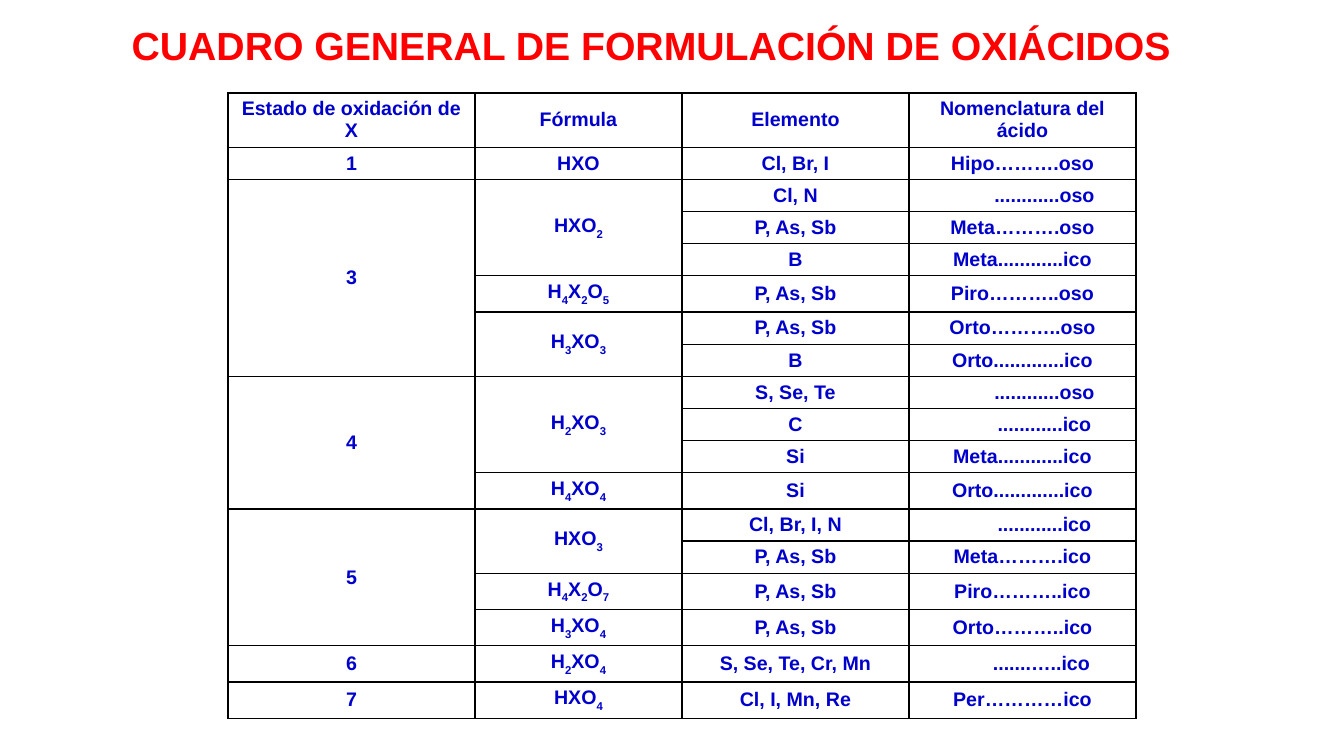
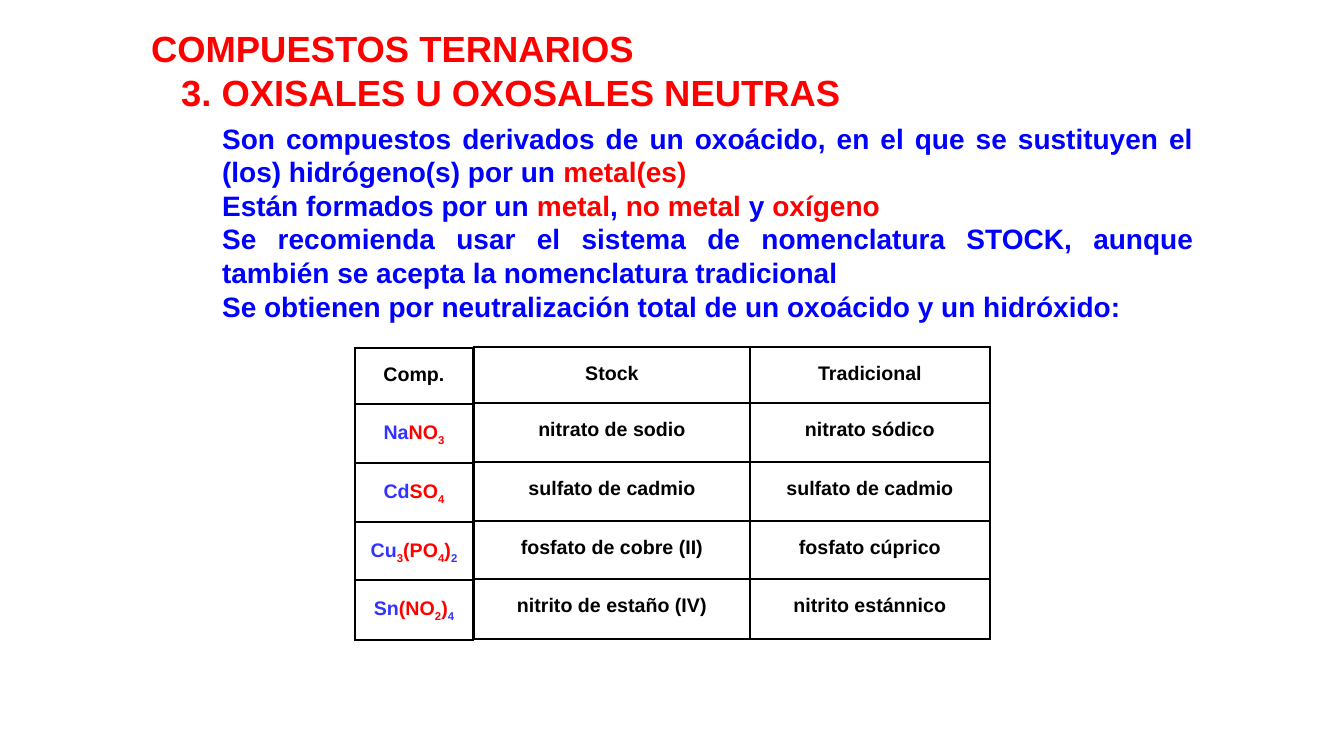
from dataclasses import dataclass
from itertools import groupby
from typing import Optional

from lxml.etree import SubElement
from pptx import Presentation
from pptx.dml.color import RGBColor
from pptx.enum.text import MSO_ANCHOR, MSO_AUTO_SIZE, PP_ALIGN
from pptx.oxml.ns import qn
from pptx.util import Emu, Pt

FONT = "Arial"
RED = RGBColor(0xFF, 0x00, 0x00)
BLUE = RGBColor(0x00, 0x00, 0xFF)
DARK_BLUE = RGBColor(0x00, 0x00, 0xCC)
METAL_BLUE = RGBColor(0x33, 0x33, 0xFF)
BLACK = RGBColor(0x00, 0x00, 0x00)
WHITE = RGBColor(0xFF, 0xFF, 0xFF)

THIN, THICK = 1, 2.25
CELL_SIZE = 14


@dataclass(frozen=True)
class Span:
    """A stretch of text in one colour; baseline is a percentage."""
    text: str
    color: RGBColor
    baseline: int = 0


@dataclass(frozen=True)
class Box:
    left: int
    top: int
    width: int
    height: int


@dataclass(frozen=True)
class Acid:
    """One table row; an empty state or formula continues the cell above."""
    state: str
    formula: str
    element: str
    name: str
    indent: int = 0


@dataclass(frozen=True)
class Salt:
    formula: list[Span]
    stock: str
    traditional: str


def px(pixels: int) -> Emu:
    return Emu(round(pixels * 914400 / 100.8))


def formula_spans(formula: str, color: RGBColor, drop: int) -> list[Span]:
    """Split a formula so that its digits become subscripts."""
    return [Span("".join(group), color, -drop if is_digit else 0)
            for is_digit, group in groupby(formula, str.isdigit)]


def write_spans(paragraph, spans: list[Span], size: int, alignment: PP_ALIGN,
                line_spacing: Optional[float] = None, indent: int = 0) -> None:
    paragraph.alignment = alignment
    paragraph.space_before = Pt(0)
    if line_spacing:
        paragraph.line_spacing = line_spacing
    properties = paragraph._p.get_or_add_pPr()
    properties.set("marL", str(px(indent)))
    properties.set("indent", "0")
    SubElement(properties, qn("a:buNone"))
    for span in spans:
        run = paragraph.add_run()
        run.text = span.text
        run.font.name = FONT
        run.font.size = Pt(size)
        run.font.bold = True
        run.font.color.rgb = span.color
        if span.baseline:
            run._r.get_or_add_rPr().set("baseline", str(span.baseline * 1000))


def place_text(shape, box: Box, anchor: MSO_ANCHOR, lines: list[list[Span]], size: int,
               alignment: PP_ALIGN, indents: tuple[int, ...] = ()) -> None:
    """Move a placeholder and write one paragraph per line."""
    shape.left, shape.top = px(box.left), px(box.top)
    shape.width, shape.height = px(box.width), px(box.height)
    frame = shape.text_frame
    frame.word_wrap = True
    frame.auto_size = MSO_AUTO_SIZE.NONE
    frame.vertical_anchor = anchor
    for index, spans in enumerate(lines):
        paragraph = frame.add_paragraph() if index else frame.paragraphs[0]
        write_spans(paragraph, spans, size, alignment,
                    indent=indents[index] if indents else 0)


def set_borders(cell, **widths: float) -> None:
    """Draw the four black borders, thin unless a side is given a width."""
    properties = cell._tc.get_or_add_tcPr()
    for side in "LRTB":
        line = SubElement(properties, qn(f"a:ln{side}"),
                          w=str(Pt(widths.get(side, THIN))))
        fill = SubElement(line, qn("a:solidFill"))
        SubElement(fill, qn("a:srgbClr"), val=str(BLACK))


def add_plain_table(slide, left: int, top: int, columns: list[int], rows: list[int]):
    table = slide.shapes.add_table(len(rows), len(columns), px(left), px(top),
                                   px(sum(columns)), px(sum(rows))).table
    table.first_row = table.horz_banding = False
    for column, width in zip(table.columns, columns):
        column.width = px(width)
    for row, height in zip(table.rows, rows):
        row.height = px(height)
    return table


def fill_white(cell) -> None:
    cell.fill.solid()
    cell.fill.fore_color.rgb = WHITE


def merge_down(table, column: int, texts: list[str]) -> None:
    """Join each filled cell with the empty ones under it."""
    starts = [row for row, text in enumerate(texts) if text] + [len(texts)]
    for first, following in zip(starts, starts[1:]):
        if following - first > 1:
            table.cell(first, column).merge(table.cell(following - 1, column))


# Content of the oxyacid table
ACID_HEADER = Acid("Estado de oxidación de X", "Fórmula", "Elemento",
                   "Nomenclatura del ácido")
ACIDS = [
    Acid("1", "HXO", "Cl, Br, I", "Hipo……….oso"),
    Acid("3", "HXO2", "Cl, N", "............oso", 44),
    Acid("", "", "P, As, Sb", "Meta……….oso"),
    Acid("", "", "B", "Meta............ico"),
    Acid("", "H4X2O5", "P, As, Sb", "Piro………..oso"),
    Acid("", "H3XO3", "P, As, Sb", "Orto………..oso"),
    Acid("", "", "B", "Orto.............ico"),
    Acid("4", "H2XO3", "S, Se, Te", "............oso", 44),
    Acid("", "", "C", "............ico", 44),
    Acid("", "", "Si", "Meta............ico"),
    Acid("", "H4XO4", "Si", "Orto.............ico"),
    Acid("5", "HXO3", "Cl, Br, I, N", "............ico", 44),
    Acid("", "", "P, As, Sb", "Meta……….ico"),
    Acid("", "H4X2O7", "P, As, Sb", "Piro………..ico"),
    Acid("", "H3XO4", "P, As, Sb", "Orto………..ico"),
    Acid("6", "H2XO4", "S, Se, Te, Cr, Mn", ".......…..ico", 38),
    Acid("7", "HXO4", "Cl, I, Mn, Re", "Per…………ico"),
]


def salt_formula(metal: str, rest: str, count: str = "") -> list[Span]:
    return [span for part, color in ((metal, METAL_BLUE), (rest, RED), (count, METAL_BLUE))
            for span in formula_spans(part, color, 25)]


# Content of the oxysalt slide
SALTS = [
    Salt([Span("Comp.", BLACK)], "Stock", "Tradicional"),
    Salt(salt_formula("Na", "NO3"), "nitrato de sodio", "nitrato sódico"),
    Salt(salt_formula("Cd", "SO4"), "sulfato de cadmio", "sulfato de cadmio"),
    Salt(salt_formula("Cu", "3(PO4)", "2"), "fosfato de cobre (II)", "fosfato cúprico"),
    Salt(salt_formula("Sn", "(NO2)", "4"), "nitrito de estaño (IV)", "nitrito estánnico"),
]
SALT_ROWS = [56, 59, 59, 58, 60]
SALT_NOTES = [
    [Span("Son compuestos derivados de un oxoácido, en el que se sustituyen el "
          "(los) hidrógeno(s) por un ", BLUE), Span("metal(es)", RED)],
    [Span("Están formados por un ", BLUE), Span("metal", RED), Span(", ", BLUE),
     Span("no metal ", RED), Span("y ", BLUE), Span("oxígeno ", RED)],
    [Span("Se recomienda usar el sistema de nomenclatura STOCK, aunque también "
          "se acepta la nomenclatura tradicional", BLUE)],
    [Span("Se obtienen por neutralización total de un oxoácido y un hidróxido:", BLUE)],
]


def build_acid_slide(presentation) -> None:
    slide = presentation.slides.add_slide(presentation.slide_layouts[5])
    place_text(slide.shapes.title, Box(85, 21, 1143, 47), MSO_ANCHOR.MIDDLE,
               [[Span("CUADRO GENERAL DE FORMULACIÓN DE OXIÁCIDOS ", RED)]],
               28, PP_ALIGN.CENTER)

    # Rows whose own formula has a subscript are taller
    records = [ACID_HEADER, *ACIDS]
    heights = [54]
    for acid, following in zip(ACIDS, [*ACIDS[1:], ACID_HEADER]):
        subscripted = any(map(str.isdigit, acid.formula))
        heights.append(36 if subscripted and following.formula else 32)
    table = add_plain_table(slide, 228, 93, [247, 207, 227, 227], heights)
    merge_down(table, 0, [record.state for record in records])
    merge_down(table, 1, [record.formula for record in records])

    for row, record in enumerate(records):
        cells = [[Span(record.state, DARK_BLUE)],
                 formula_spans(record.formula, DARK_BLUE, 30),
                 [Span(record.element, DARK_BLUE)],
                 [Span(record.name, DARK_BLUE)]]
        for column, spans in enumerate(cells):
            cell = table.cell(row, column)
            set_borders(cell)
            fill_white(cell)
            if cell.is_spanned:
                continue
            cell.vertical_anchor = MSO_ANCHOR.MIDDLE
            write_spans(cell.text_frame.paragraphs[0], spans, CELL_SIZE, PP_ALIGN.CENTER,
                        indent=record.indent if column == 3 else 0)


def add_salt_table(slide, left: int, top: int, columns: list[int],
                   rows: list[list[list[Span]]], thick_side: str) -> None:
    """Draw salt cells with a thick frame at top, bottom and one outer side."""
    table = add_plain_table(slide, left, top, columns, SALT_ROWS)
    outer_column = 0 if thick_side == "L" else len(columns) - 1
    for row, cells in enumerate(rows):
        for column, spans in enumerate(cells):
            cell = table.cell(row, column)
            edges = {"T": row == 0, "B": row == len(rows) - 1,
                     thick_side: column == outer_column}
            set_borders(cell, **{side: THICK for side, outer in edges.items() if outer})
            fill_white(cell)
            write_spans(cell.text_frame.paragraphs[0], spans, CELL_SIZE,
                        PP_ALIGN.CENTER, line_spacing=1.5)


def build_salt_slide(presentation) -> None:
    slide = presentation.slides.add_slide(presentation.slide_layouts[1])
    place_text(slide.placeholders[1], Box(212, 116, 992, 214), MSO_ANCHOR.TOP,
               SALT_NOTES, 20, PP_ALIGN.JUSTIFY)
    place_text(slide.shapes.title, Box(141, 21, 768, 103), MSO_ANCHOR.TOP,
               [[Span("COMPUESTOS TERNARIOS", RED)],
                [Span("3. OXISALES U OXOSALES NEUTRAS ", RED)]],
               26, PP_ALIGN.LEFT, indents=(0, 30))

    # Names on the right, formulas on the left
    names = [[[Span(salt.stock, BLACK)], [Span(salt.traditional, BLACK)]] for salt in SALTS]
    add_salt_table(slide, 474, 347, [276, 240], names, "R")
    add_salt_table(slide, 355, 348, [118], [[salt.formula] for salt in SALTS], "L")


def main() -> None:
    presentation = Presentation()
    presentation.slide_width, presentation.slide_height = px(1344), px(756)
    build_acid_slide(presentation)
    build_salt_slide(presentation)
    presentation.save("out.pptx")


main()
